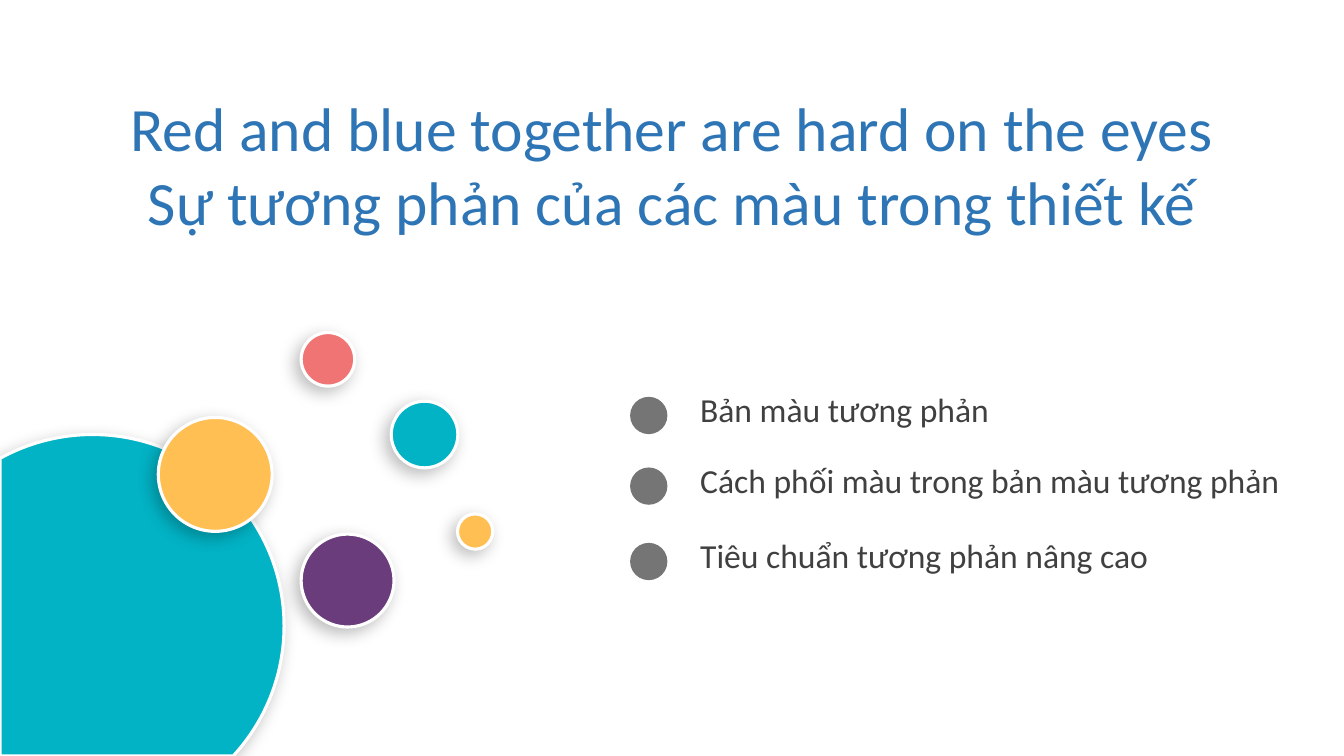
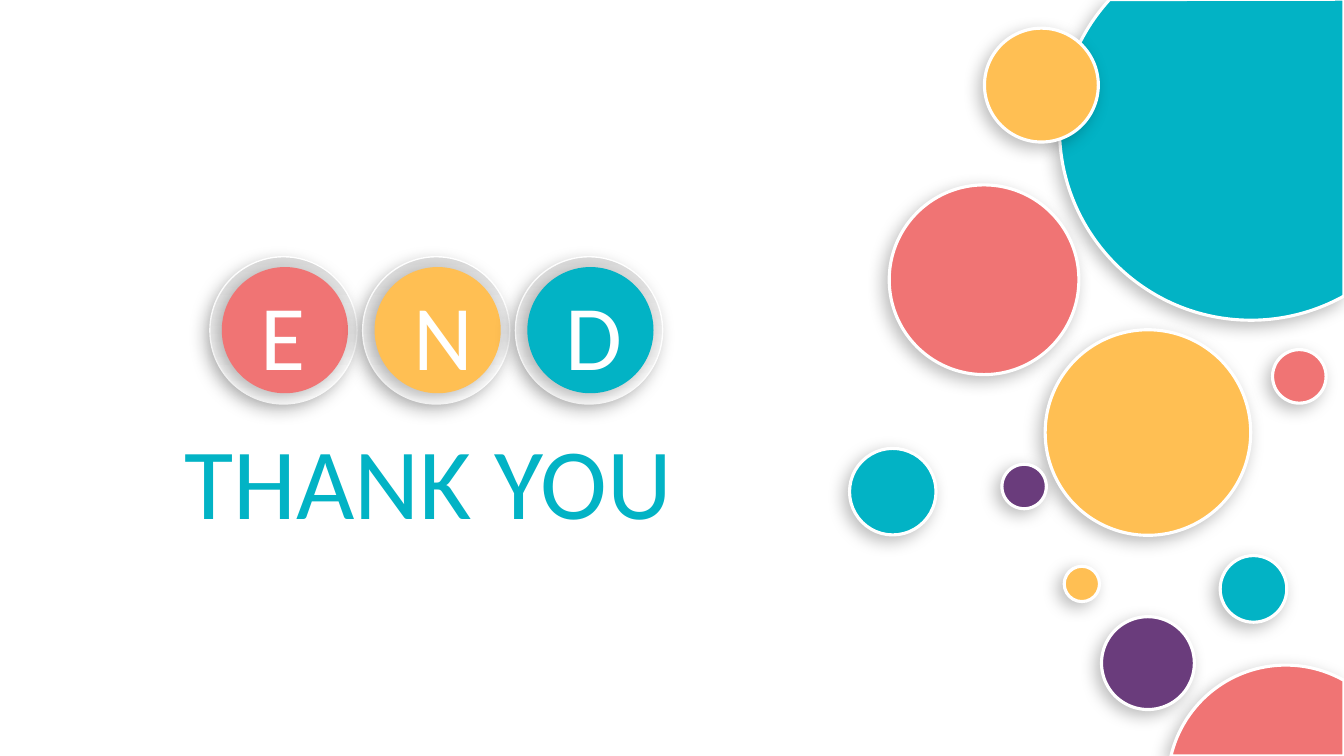
from dataclasses import dataclass
from math import cos, radians, sin, tan

from lxml.etree import Element, SubElement
from pptx import Presentation
from pptx.dml.color import RGBColor
from pptx.enum.shapes import MSO_SHAPE as Shape
from pptx.enum.text import MSO_ANCHOR as Anchor, MSO_AUTO_SIZE as AutoSize, PP_ALIGN as Align
from pptx.oxml.ns import qn
from pptx.util import Cm, Pt


@dataclass(frozen=True)
class Theme:
    font: str = "Calibri"
    teal: str = "02B3C5"
    coral: str = "F07474"
    yellow: str = "FFBF53"
    purple: str = "6A3C7C"
    blue: str = "2E75B6"
    gray: str = "404040"
    silver: str = "D9D9D9"
    white: str = "FFFFFF"
    list_size: int = 24
    title_size: int = 44
    letter_size: int = 66
    closing_size: int = 72


theme = Theme()
deck = Presentation()
deck.slide_width, deck.slide_height = Cm(33.87), Cm(19.05)


def write(box, text, size, color, align=Align.LEFT, gaps=()):
    """Fill a box with one paragraph per line; gaps are the points above each."""
    frame = box.text_frame
    frame.text = text
    frame.word_wrap = True
    frame.auto_size = AutoSize.NONE
    frame.vertical_anchor = Anchor.TOP
    for i, line in enumerate(frame.paragraphs):
        line.alignment = align
        line.line_spacing = 1.0
        line.space_before = Pt(gaps[i] if gaps else 0)
        line.font.name = theme.font
        line.font.size = Pt(size)
        line.font.color.rgb = RGBColor.from_string(color)


def add_circle(shapes, left, top, diameter, color, cut=None, border=2.25, shadow=True):
    """Draw a circle; cut holds the first and last angle of the arc kept and the slide corner."""
    if cut:
        start, end, corner = cut
        r = diameter / 2
        outline = []
        angles = [start, *(a for a in range(0, 451, 90) if start < a < end), end]
        for a, b in zip(map(radians, angles), map(radians, angles[1:])):
            k = 4 / 3 * tan((b - a) / 4)
            outline += [(cos(a), sin(a)),
                        (cos(a) - k * sin(a), sin(a) + k * cos(a)),
                        (cos(b) + k * sin(b), sin(b) - k * cos(b))]
        outline.append((cos(b), sin(b)))
        outline = [(Cm(left + r + r * x), Cm(top + r + r * y)) for x, y in outline]
        builder = shapes.build_freeform(*outline[0])
        builder.add_line_segments([*outline[1:], (Cm(corner[0]), Cm(corner[1]))], close=True)
        circle = builder.convert_to_shape()
        # Every three lines of the arc become one Bezier curve
        lines = list(circle._element.iter(qn("a:lnTo")))[:len(outline) - 1]
        for i in range(0, len(lines), 3):
            curve = Element(qn("a:cubicBezTo"))
            lines[i].addprevious(curve)
            for line in lines[i:i + 3]:
                curve.append(line[0])
                line.getparent().remove(line)
    else:
        circle = shapes.add_shape(Shape.OVAL, Cm(left), Cm(top), Cm(diameter), Cm(diameter))
    circle.fill.solid()
    circle.fill.fore_color.rgb = RGBColor.from_string(color)
    if border:
        circle.line.color.rgb = RGBColor.from_string(theme.white)
        circle.line.width = Pt(border)
    else:
        circle.line.fill.background()
    circle.shadow.inherit = False
    if shadow:
        effects = circle._element.spPr.find(qn("a:effectLst"))
        outer = SubElement(effects, qn("a:outerShdw"), blurRad=str(Pt(12)), dist=str(Pt(5)),
                           dir="8100000", algn="tr", rotWithShape="0")
        black = SubElement(outer, qn("a:srgbClr"), val="000000")
        SubElement(black, qn("a:alpha"), val="26000")
    return circle


# Slide 1: topic and agenda
agenda = deck.slides.add_slide(deck.slide_layouts[1])
for bubble in [
    (-2.49, 10.95, 9.65, theme.teal, (241.06, 402.75, (0, 19.05))),
    (7.59, 13.46, 2.34, theme.purple),
    (9.86, 10.11, 1.68, theme.teal),
    (3.99, 10.52, 2.87, theme.yellow),
    (7.59, 8.38, 1.35, theme.coral),
    (11.53, 12.95, 0.89, theme.yellow),
]:
    add_circle(agenda.shapes, *bubble)

topic = agenda.shapes.title
topic.left, topic.top, topic.width, topic.height = Cm(2.54), Cm(2.13), Cm(28.8), Cm(4.01)
write(topic, "Red and blue together are hard on the eyes\nSự tương phản của các màu trong thiết kế",
      theme.title_size, theme.blue, Align.CENTER)

points = agenda.placeholders[1]
points.left, points.top, points.width, points.height = Cm(17.39), Cm(9.68), Cm(16.03), Cm(4.95)
write(points, "Bản màu tương phản\nCách phối màu trong bản màu tương phản\nTiêu chuẩn tương phản nâng cao",
      theme.list_size, theme.gray, gaps=(0, 21.7, 24.7))
for point in points.text_frame.paragraphs:
    props = point._p.get_or_add_pPr()
    props.set("marL", "0")
    props.set("indent", "0")
    SubElement(props, qn("a:buNone"))

# Translucent markers beside the points
for marker_top in (10, 11.78, 13.68):
    marker = add_circle(agenda.shapes, 15.88, marker_top, 0.94, theme.gray, border=0, shadow=False)
    tint = marker._element.spPr.find(qn("a:solidFill"))[0]
    SubElement(tint, qn("a:alpha"), val="72000")

# Slide 2: closing
closing = deck.slides.add_slide(deck.slide_layouts[5])
for bubble in [
    (26.34, 8.31, 5.18, theme.yellow),
    (26.7, -1.58, 9.65, theme.teal, (60.92, 222.42, (33.87, -0.02))),
    (22.41, 4.66, 4.78, theme.coral),
    (27.76, 15.54, 2.34, theme.purple),
    (30.75, 14, 1.68, theme.teal),
    (29.43, 16.76, 5.95, theme.coral, (193.31, 299.5, (33.87, 19.05))),
    (24.81, 0.71, 2.87, theme.yellow),
    (32.07, 8.81, 1.35, theme.coral),
    (26.82, 14.27, 0.89, theme.yellow),
    (21.41, 11.3, 2.18, theme.teal),
    (25.25, 11.7, 1.12, theme.purple),
]:
    add_circle(closing.shapes, *bubble)

# Letter badges: silver rim, coloured disc, letter
for i, (letter, color) in enumerate(zip("END", (theme.coral, theme.yellow, theme.teal))):
    left = 5.29 + 3.85 * i
    badge = closing.shapes.add_group_shape().shapes
    rim = add_circle(badge, left, 6.47, 3.71, theme.white, border=1)
    rim.fill.gradient()
    rim.fill.gradient_angle = 90
    for stop, shade, position in zip(rim.fill.gradient_stops, (theme.white, theme.silver), (0, 1)):
        stop.color.rgb = RGBColor.from_string(shade)
        stop.position = position
    add_circle(badge, left + 0.3, 6.73, 3.18, color, border=0)
    initial = badge.add_textbox(Cm(left + 1.02), Cm(6.88), Cm(1.96), Cm(3.07))
    write(initial, letter, theme.letter_size, theme.white)

thanks = closing.shapes.title
thanks.left, thanks.top, thanks.width, thanks.height = Cm(4.39), Cm(10.42), Cm(12.98), Cm(3.33)
write(thanks, "THANK YOU", theme.closing_size, theme.teal, Align.JUSTIFY)

deck.save("out.pptx")
